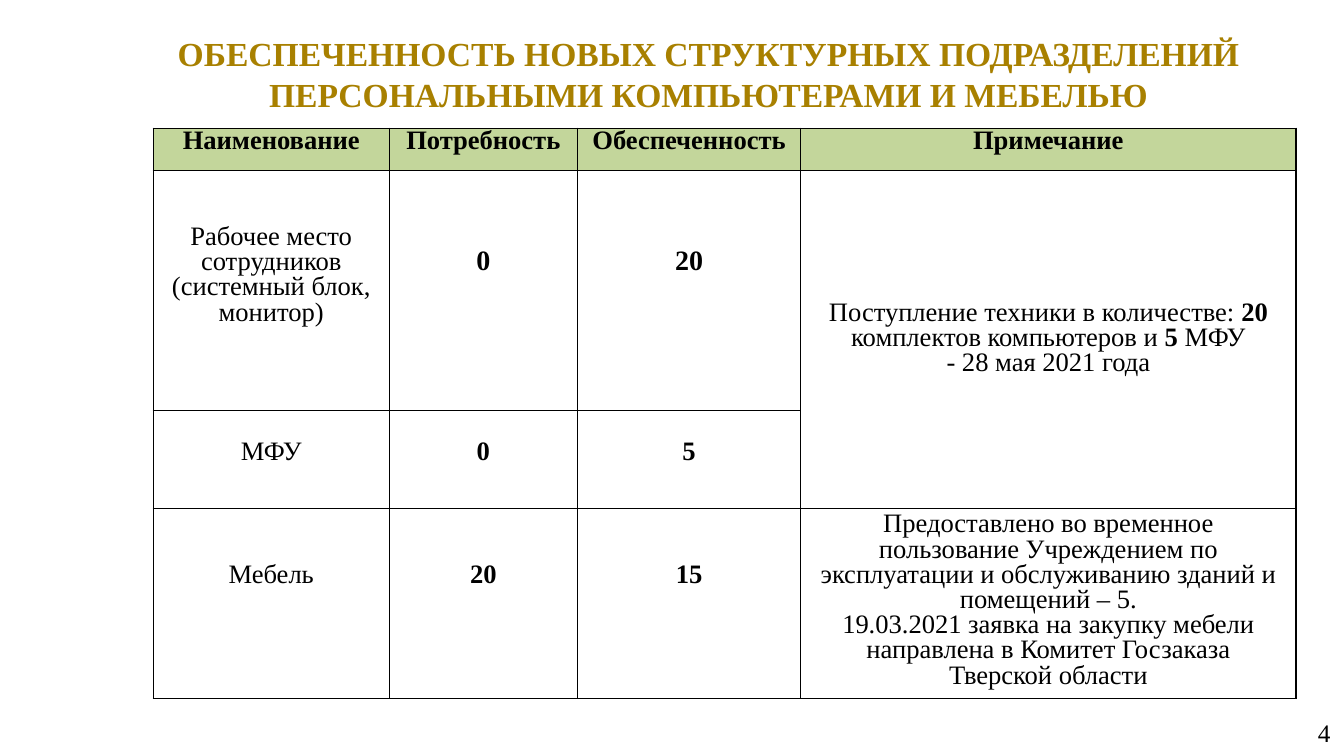
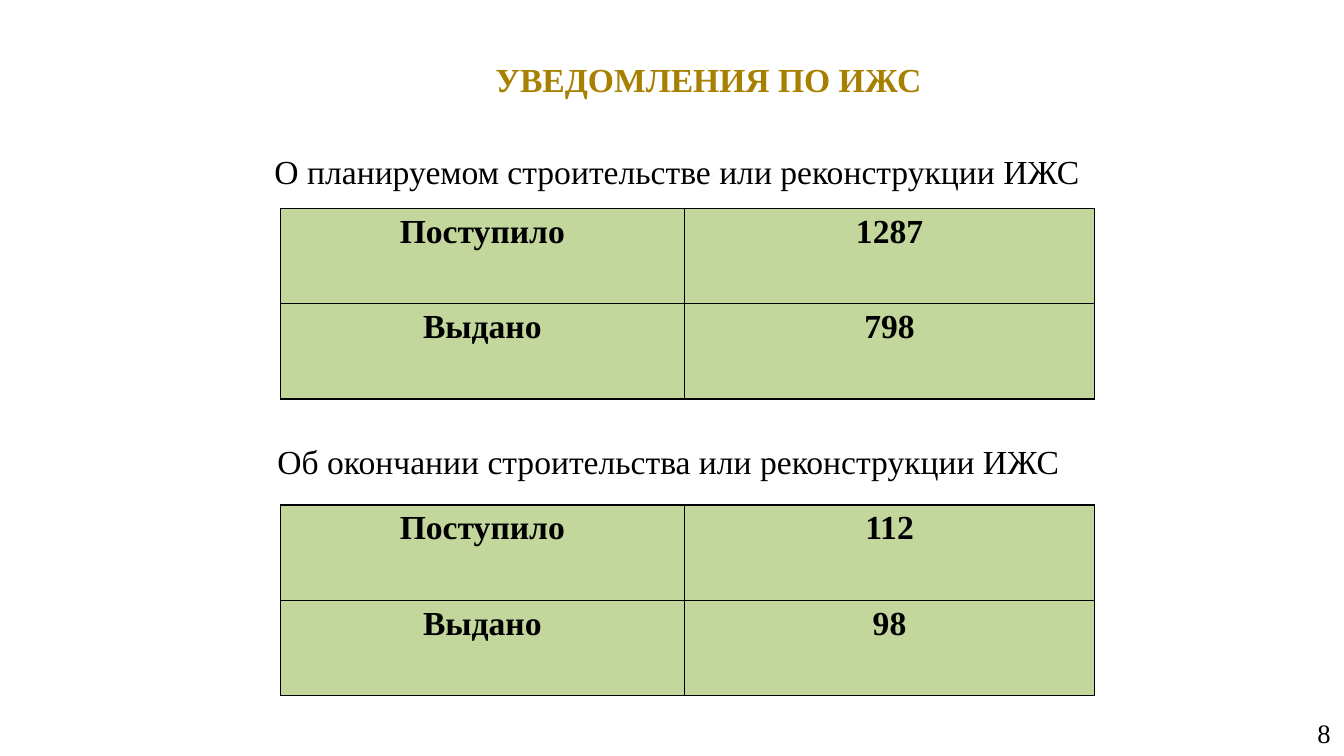
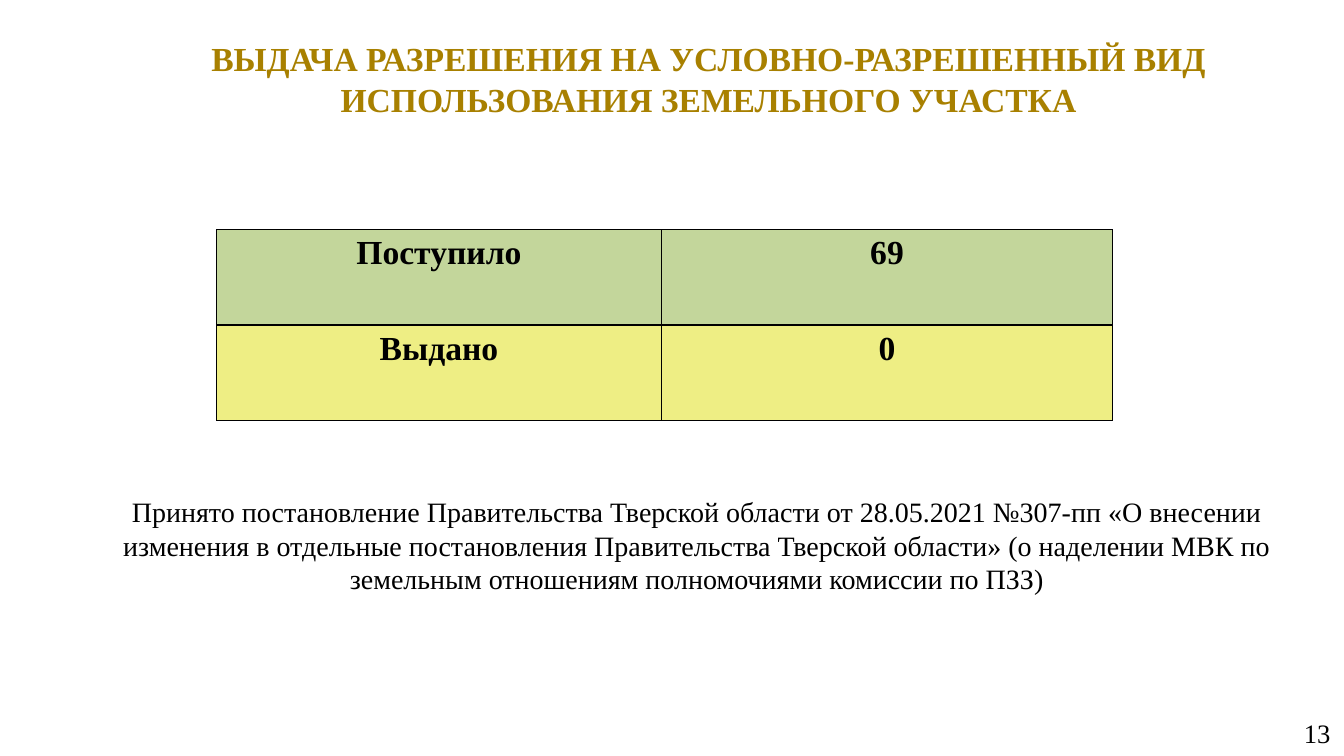
from dataclasses import dataclass
from typing import Optional

from lxml import etree
from pptx import Presentation
from pptx import util as u
from pptx.dml.color import RGBColor
from pptx.enum import text
from pptx.oxml import ns

Pt = u.Pt
FONT = "Times New Roman"
COLORS = {"title": "A88000", "text": "000000", "green": "C3D69B", "yellow": "EEEE84"}
BORDER_WIDTH = 0.96
CELL_MARGIN_X, CELL_MARGIN_Y = 9.6, 3.6
BOX_MARGIN_X, BOX_MARGIN_Y = 9.6, 4.8
BODY_LEADING = 18
LEFT, CENTER, RIGHT = text.PP_ALIGN.LEFT, text.PP_ALIGN.CENTER, text.PP_ALIGN.RIGHT
TOP, MIDDLE = text.MSO_ANCHOR.TOP, text.MSO_ANCHOR.MIDDLE


@dataclass
class Run:
    text: str
    bold: bool = False


@dataclass
class Cell:
    paragraphs: list[str | list[Run]]
    size: float = 19
    bold: bool = False
    fill: Optional[str] = None
    leading: Optional[float] = None
    lines_above: int = 0  # height of the gap above the text, in lines


@dataclass
class Section:
    heading: str
    heading_box: tuple[float, float, float, float]
    anchor: text.MSO_ANCHOR
    table_top: float
    received: str
    issued: str


# ---- Shared helpers ----
def style_paragraph(paragraph, size: float, color: str, bold: Optional[bool], align) -> None:
    paragraph.alignment = align
    font = paragraph.font
    font.name, font.size, font.bold = FONT, Pt(size), bold
    font.color.rgb = RGBColor.from_string(COLORS[color])


def add_text(slide, box: tuple[float, float, float, float], words: str, size: float,
             color: str = "text", bold: bool = False, align=LEFT, anchor=MIDDLE) -> None:
    frame = slide.shapes.add_textbox(*map(Pt, box)).text_frame
    frame.word_wrap = True
    frame.vertical_anchor = anchor
    frame.margin_left = frame.margin_right = Pt(BOX_MARGIN_X)
    frame.margin_top = frame.margin_bottom = Pt(BOX_MARGIN_Y)
    paragraph = frame.paragraphs[0]
    paragraph.text = words
    style_paragraph(paragraph, size, color, bold, align)


def add_page(presentation, title: str, number: int, title_top: float = 20.2,
             number_size: float = 19):
    slide = presentation.slides.add_slide(presentation.slide_layouts[6])
    add_text(slide, (94.3, title_top, 823.7, 72), title, 24, "title", True, CENTER)
    add_text(slide, (735.8, 509, 224.2, 28.8), str(number), number_size, align=RIGHT)
    return slide


def add_borders(cell) -> None:
    properties = cell._tc.get_or_add_tcPr()
    for side in ("lnL", "lnR", "lnT", "lnB"):
        line = etree.SubElement(properties, ns.qn(f"a:{side}"), w=str(Pt(BORDER_WIDTH)))
        solid = etree.SubElement(line, ns.qn("a:solidFill"))
        etree.SubElement(solid, ns.qn("a:srgbClr"), val=COLORS["text"])


def fill_cell(target, cell: Cell) -> None:
    if cell.fill:
        target.fill.solid()
        target.fill.fore_color.rgb = RGBColor.from_string(COLORS[cell.fill])
    else:
        target.fill.background()
    target.margin_left = target.margin_right = Pt(CELL_MARGIN_X)
    target.margin_top = Pt(CELL_MARGIN_Y + cell.lines_above * BODY_LEADING)
    target.margin_bottom = Pt(CELL_MARGIN_Y)
    frame = target.text_frame
    for index, content in enumerate(cell.paragraphs):
        paragraph = frame.add_paragraph() if index else frame.paragraphs[0]
        mixed = not isinstance(content, str)
        if mixed:
            for part in content:
                run = paragraph.add_run()
                run.text, run.font.bold = part.text, part.bold
        else:
            paragraph.text = content
        style_paragraph(paragraph, cell.size, "text", None if mixed else cell.bold, CENTER)
        if cell.leading:
            paragraph.line_spacing = Pt(cell.leading)


def add_table(slide, left: float, top: float, widths: list[float], heights: list[float],
              rows: list[list[Optional[Cell]]]) -> None:
    """Draw a bordered table; None continues the cell above it."""
    table = slide.shapes.add_table(len(heights), len(widths), Pt(left), Pt(top),
                                   Pt(sum(widths)), Pt(sum(heights))).table
    table.first_row = table.horz_banding = False
    for column, width in zip(table.columns, widths):
        column.width = Pt(width)
    for row, height in zip(table.rows, heights):
        row.height = Pt(height)
    for row_index, row in enumerate(rows):
        for column_index, cell in enumerate(row):
            target = table.cell(row_index, column_index)
            add_borders(target)
            if cell:
                fill_cell(target, cell)
            else:
                table.cell(row_index - 1, column_index).merge(target)


def add_count_table(slide, left: float, top: float, widths: list[float],
                    received: str, issued: str, issued_fill: str = "green") -> None:
    rows = [[Cell([words], 24, True, fill) for words in pair]
            for pair, fill in ((("Поступило", received), "green"),
                               (("Выдано", issued), issued_fill))]
    add_table(slide, left, top, widths, [68, 68], rows)


# ---- Slides ----
def add_equipment_slide(presentation) -> None:
    slide = add_page(presentation, "ОБЕСПЕЧЕННОСТЬ НОВЫХ СТРУКТУРНЫХ ПОДРАЗДЕЛЕНИЙ "
                     "ПЕРСОНАЛЬНЫМИ КОМПЬЮТЕРАМИ И МЕБЕЛЬЮ", 4, 16.6, 18)

    def body(*paragraphs, above: int = 0, size: float = 19, bold: bool = False) -> Cell:
        return Cell(list(paragraphs), size, bold, None, BODY_LEADING, above)

    header = [Cell([words], 19, True, "green", 16) for words in
              ("Наименование", "Потребность", "Обеспеченность", "Примечание")]
    delivery = [Run("Поступление техники в количестве: "), Run("20", True),
                Run(" комплектов компьютеров и "), Run("5", True), Run(" МФУ")]
    rows = [
        header,
        [body("Рабочее место сотрудников", "(системный блок,", "монитор)", above=2),
         body("0", above=3, size=20, bold=True),
         body("20", above=3, size=20, bold=True),
         body(delivery, "- 28 мая 2021 года", above=5)],
        [body("МФУ", above=1), body("0", above=1, bold=True),
         body("5", above=1, bold=True), None],
        [body("Мебель", above=2), body("20", above=2, bold=True),
         body("15", above=2, bold=True),
         body("Предоставлено во временное пользование Учреждением по эксплуатации "
              "и обслуживанию зданий и помещений – 5.",
              "19.03.2021 заявка на закупку мебели направлена в Комитет Госзаказа "
              "Тверской области")],
    ]
    add_table(slide, 109.5, 91.6, [168.5, 134.5, 159.5, 353.8], [30.2, 171.4, 70, 135.6], rows)


def add_notices_slide(presentation) -> None:
    slide = add_page(presentation, "УВЕДОМЛЕНИЯ ПО ИЖС", 8)
    sections = [
        Section("О планируемом строительстве или реконструкции ИЖС",
                (186.5, 103, 640, 38.2), TOP, 149, "1287", "798"),
        Section("Об окончании строительства или реконструкции ИЖС",
                (188.6, 303.8, 581.8, 51.1), MIDDLE, 360.7, "112", "98"),
    ]
    for section in sections:
        add_text(slide, section.heading_box, section.heading, 24, anchor=section.anchor)
        add_count_table(slide, 200.2, section.table_top, [288.7, 293],
                        section.received, section.issued)


def add_permits_slide(presentation) -> None:
    slide = add_page(presentation, "ВЫДАЧА РАЗРЕШЕНИЯ НА УСЛОВНО-РАЗРЕШЕННЫЙ ВИД "
                     "ИСПОЛЬЗОВАНИЯ ЗЕМЕЛЬНОГО УЧАСТКА", 13)
    add_count_table(slide, 154.8, 164.2, [317.5, 322.6], "69", "0", "yellow")
    add_text(slide, (69, 340, 857.5, 98.6),
             "Принято постановление Правительства Тверской области от 28.05.2021 №307-пп "
             "«О внесении изменения в отдельные постановления Правительства Тверской области» "
             "(о наделении МВК по земельным отношениям полномочиями комиссии по ПЗЗ)",
             20, align=CENTER)


def main() -> None:
    presentation = Presentation()
    presentation.slide_width, presentation.slide_height = Pt(960), Pt(540)
    add_equipment_slide(presentation)
    add_notices_slide(presentation)
    add_permits_slide(presentation)
    presentation.save("out.pptx")


if __name__ == "__main__":
    main()
